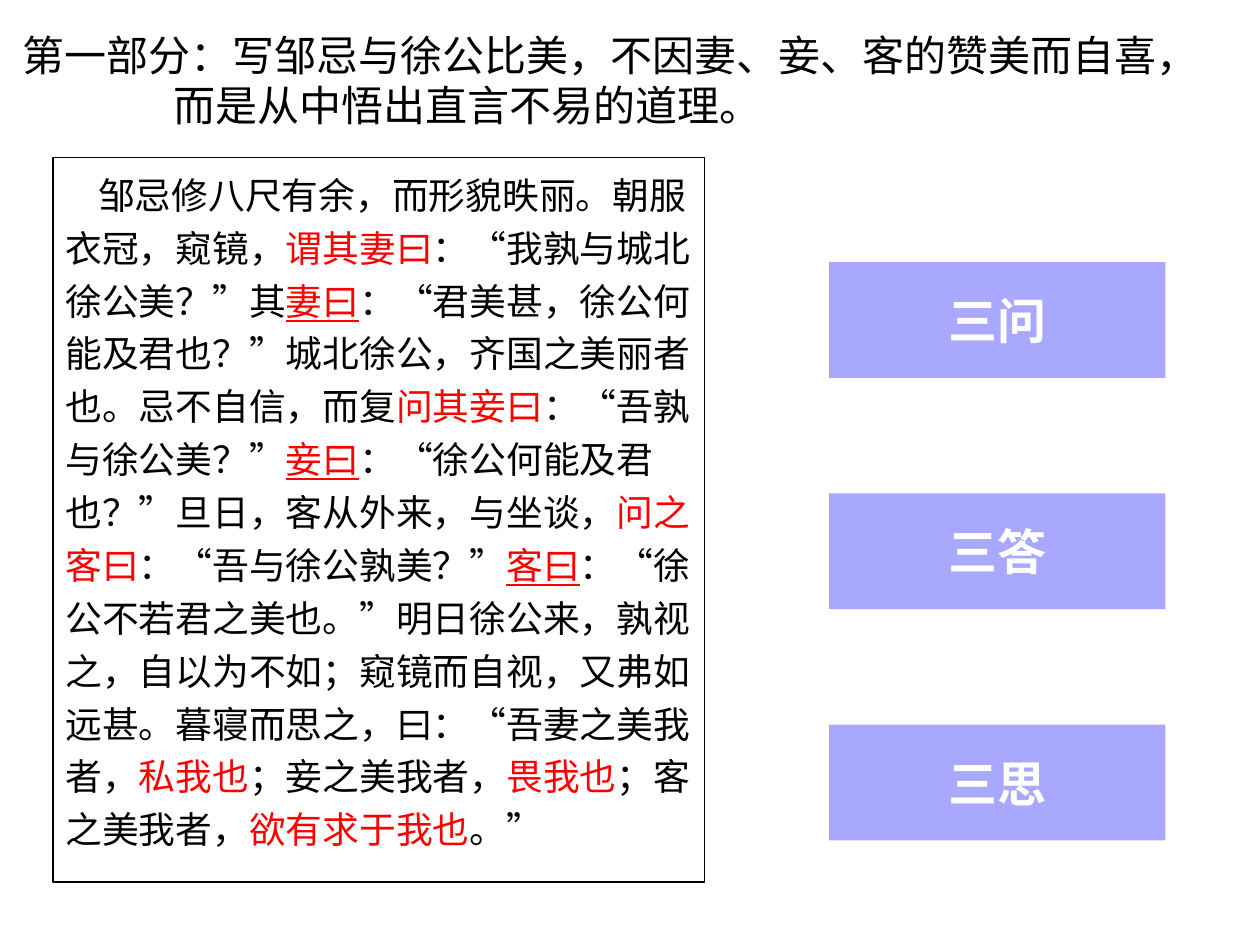
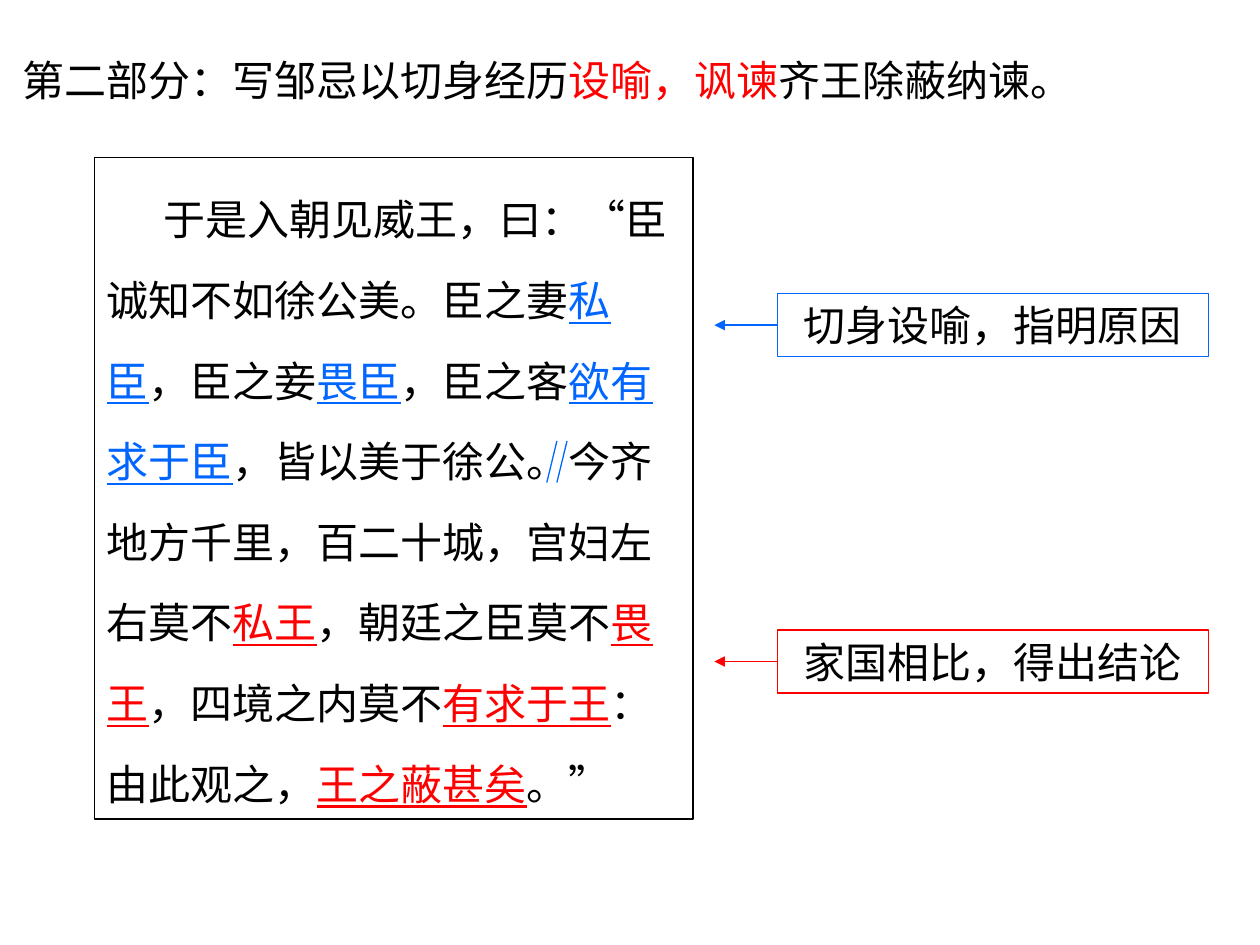
from lxml import etree
from pptx import Presentation
from pptx import util as u
from pptx.dml.color import RGBColor
from pptx.enum import shapes, text
from pptx.oxml.ns import qn

Inches, Pt = u.Inches, u.Pt
BLACK, WHITE, RED, BLUE = "000000", "FFFFFF", "FF0000", "0066FF"
PURE_BLUE = "0000FF"
LATIN, CJK = "Arial", "Noto Sans CJK SC"
LINE_WIDTH = Pt(0.75)


def color(hex_code):
    return RGBColor.from_string(hex_code)


def marked(words, hex_code=RED, underline=True):
    """Text segment that stands out from the plain text around it."""
    return words, hex_code, underline


def add_run(p, segment, size, font, hex_code, bold):
    """Add a plain string or a marked segment to a paragraph."""
    words, hex_code, underline = (
        (segment, hex_code, False) if isinstance(segment, str) else segment)
    r = p.add_run()
    r.text = words
    f = r.font
    f.size, f.name, f.bold = Pt(size), font, bold
    f.color.rgb = color(hex_code)
    if underline:
        f.underline = True
    rPr = r._r.get_or_add_rPr()
    rPr.set("lang", "zh-CN")
    rPr.find(qn("a:latin")).addnext(
        etree.Element(qn("a:ea"), typeface=CJK))


def write(p, *segments, size=24, font=LATIN, hex_code=BLACK, bold=False,
          align=text.PP_ALIGN.LEFT, line_spacing=None, before=0,
          margin=0, indent=0):
    """Fill a paragraph with segments; margin and indent are in inches."""
    p.alignment = align
    p.line_spacing = line_spacing
    p.space_before = Pt(before)
    pPr = p._p.get_or_add_pPr()
    pPr.set("marL", str(Inches(margin)))
    pPr.set("indent", str(Inches(indent)))
    pPr.set("hangingPunct", "0")
    for segment in segments:
        add_run(p, segment, size, font, hex_code, bold)


def add_box(s, x, y, w, h, line=None, fill=None, opacity=100, wrap=True,
            anchor=text.MSO_ANCHOR.MIDDLE):
    """Add a rectangle and return its first paragraph."""
    sp = s.shapes.add_shape(shapes.MSO_SHAPE.RECTANGLE, Inches(x), Inches(y),
                            Inches(w), Inches(h))
    sp.shadow.inherit = False
    if fill:
        sp.fill.solid()
        sp.fill.fore_color.rgb = color(fill)
        srgb = sp.fill._xPr.find(".//" + qn("a:srgbClr"))
        etree.SubElement(srgb, qn("a:alpha"), val=str(opacity * 1000))
    else:
        sp.fill.background()
    if line:
        sp.line.color.rgb = color(line)
        sp.line.width = LINE_WIDTH
    else:
        sp.line.fill.background()
    tf = sp.text_frame
    tf.word_wrap = wrap
    tf.vertical_anchor = anchor
    return tf.paragraphs[0]


def add_title(s, *segments, second_line=None):
    sp = s.shapes.add_textbox(Inches(0.08), Inches(0.34), Inches(9.67),
                              Inches(0.58))
    tf = sp.text_frame
    tf.word_wrap = True
    tf.vertical_anchor = text.MSO_ANCHOR.MIDDLE
    write(tf.paragraphs[0], *segments)
    if second_line:
        write(tf.add_paragraph(), second_line, margin=1.2)


def add_passage(s, x, w, h, *segments, **fmt):
    """Add the framed passage of classical text."""
    p = add_box(s, x, 1.25, w, h, line=BLACK, anchor=text.MSO_ANCHOR.TOP)
    write(p, *segments, **fmt)


def add_line(s, start, end, hex_code, arrow=False):
    c = s.shapes.add_connector(shapes.MSO_CONNECTOR.STRAIGHT,
                               *map(Inches, start + end))
    c.line.color.rgb = color(hex_code)
    c.line.width = LINE_WIDTH
    if arrow:
        etree.SubElement(c.line._get_or_add_ln(), qn("a:tailEnd"),
                         type="triangle")
    etree.SubElement(c._element.spPr, qn("a:effectLst"))


def add_theme_block(s, y, words):
    p = add_box(s, 6.58, y, 2.67, 0.92, fill=PURE_BLUE, opacity=34,
                wrap=False)
    write(p, words, size=28, hex_code=WHITE, bold=True,
          align=text.PP_ALIGN.CENTER)


def add_callout(s, y, words, hex_code):
    """Add a framed remark with an arrow towards the passage."""
    x, h = 6.17, 0.5
    p = add_box(s, x, y, 3.42, h, line=hex_code, wrap=False)
    write(p, words, align=text.PP_ALIGN.CENTER)
    middle = y + h / 2
    add_line(s, (x, middle), (x - 0.5, middle), hex_code, arrow=True)


def build_comparison(s):
    add_passage(
        s, 0.42, 5.17, 5.75,
        "邹忌修八尺有余，而形貌昳丽。朝服衣冠，窥镜，",
        marked("谓其妻曰", underline=False),
        "：“我孰与城北徐公美？”其", marked("妻曰"),
        "：“君美甚，徐公何能及君也？”城北徐公，齐国之美丽者也。忌不自信，而复",
        marked("问其妾曰", underline=False),
        "：“吾孰与徐公美？”", marked("妾曰"),
        "：“徐公何能及君也？”旦日，客从外来，与坐谈，",
        marked("问之客曰", underline=False),
        "：“吾与徐公孰美？”", marked("客曰"),
        "：“徐公不若君之美也。”明日徐公来，孰视之，自以为不如；窥镜而自视，"
        "又弗如远甚。暮寝而思之，曰：“吾妻之美我者，",
        marked("私我也", underline=False), "；妾之美我者，",
        marked("畏我也", underline=False), "；客之美我者，",
        marked("欲有求于我也", underline=False), "。”",
        size=21, font=CJK, line_spacing=1.2, before=5, indent=0.26)
    add_title(s, "第一部分：写邹忌与徐公比美，不因妻、妾、客的赞美而自喜，",
              second_line="而是从中悟出直言不易的道理。")
    for i, words in enumerate(("三问", "三答", "三思")):
        add_theme_block(s, 2.08 + i * 1.835, words)


def build_persuasion(s):
    add_passage(
        s, 0.75, 4.75, 5.25,
        "于是入朝见威王，曰：“臣诚知不如徐公美。臣之妻", marked("私臣", BLUE),
        "，臣之妾", marked("畏臣", BLUE),
        "，臣之客", marked("欲有求于臣", BLUE),
        "，皆以美于徐公。今齐地方千里，百二十城，宫妇左右莫不", marked("私王"),
        "，朝廷之臣莫不", marked("畏王"),
        "，四境之内莫不", marked("有求于王"),
        "：由此观之，", marked("王之蔽甚矣"), "。”",
        line_spacing=1.6, before=6, indent=0.45)
    add_title(s, "第二部分：写邹忌以切身经历",
              marked("设喻，讽谏", underline=False), "齐王除蔽纳谏。")
    add_callout(s, 2.33, "切身设喻，指明原因", BLUE)
    add_callout(s, 5, "家国相比，得出结论", RED)
    for x in (4.42, 4.5):
        add_line(s, (x, 3.5), (x - 0.08, 3.83), BLUE)


def main():
    prs = Presentation()
    prs.slide_width, prs.slide_height = Inches(10), Inches(7.5)
    for build in (build_comparison, build_persuasion):
        build(prs.slides.add_slide(prs.slide_layouts[6]))
    prs.save("out.pptx")


if __name__ == "__main__":
    main()
